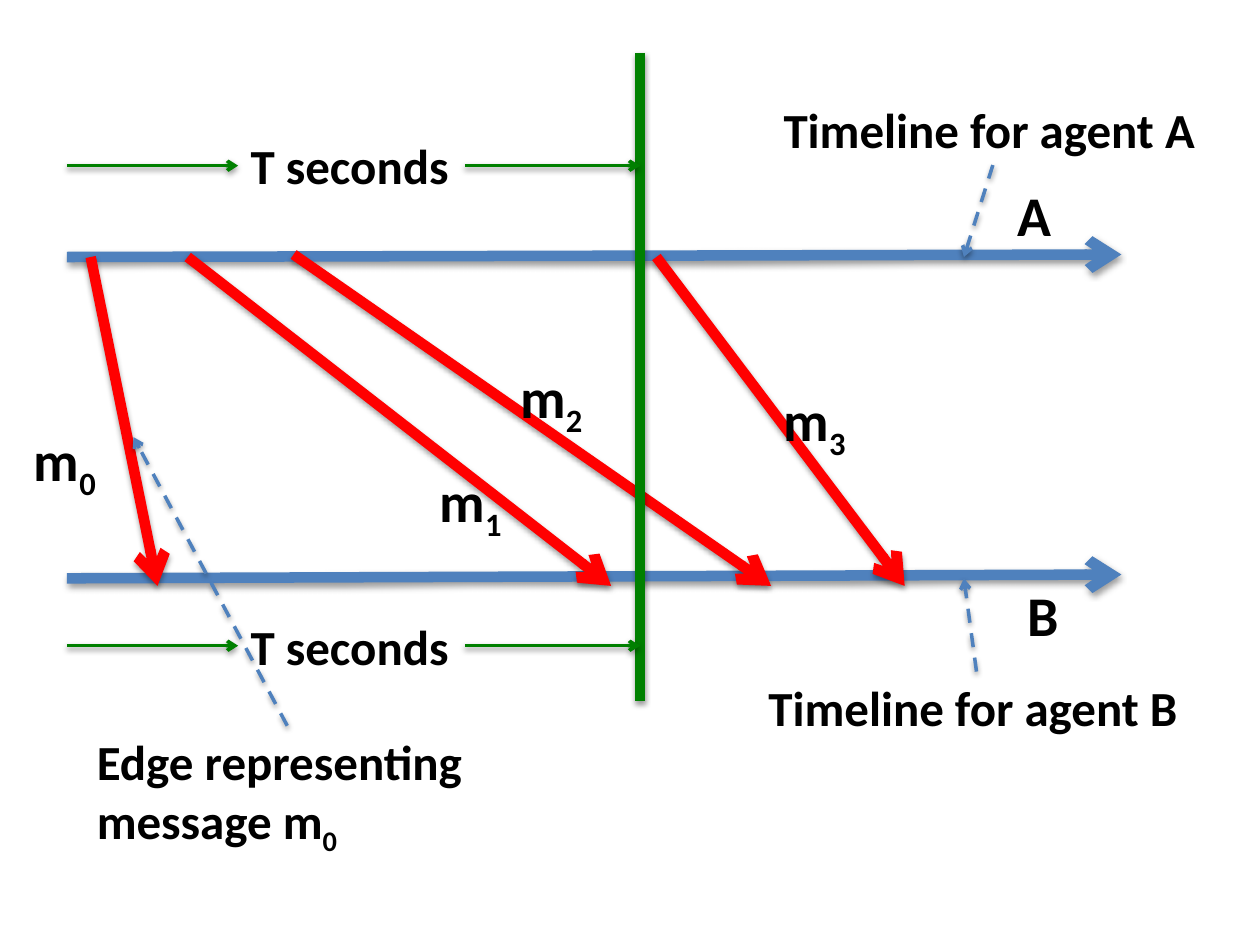
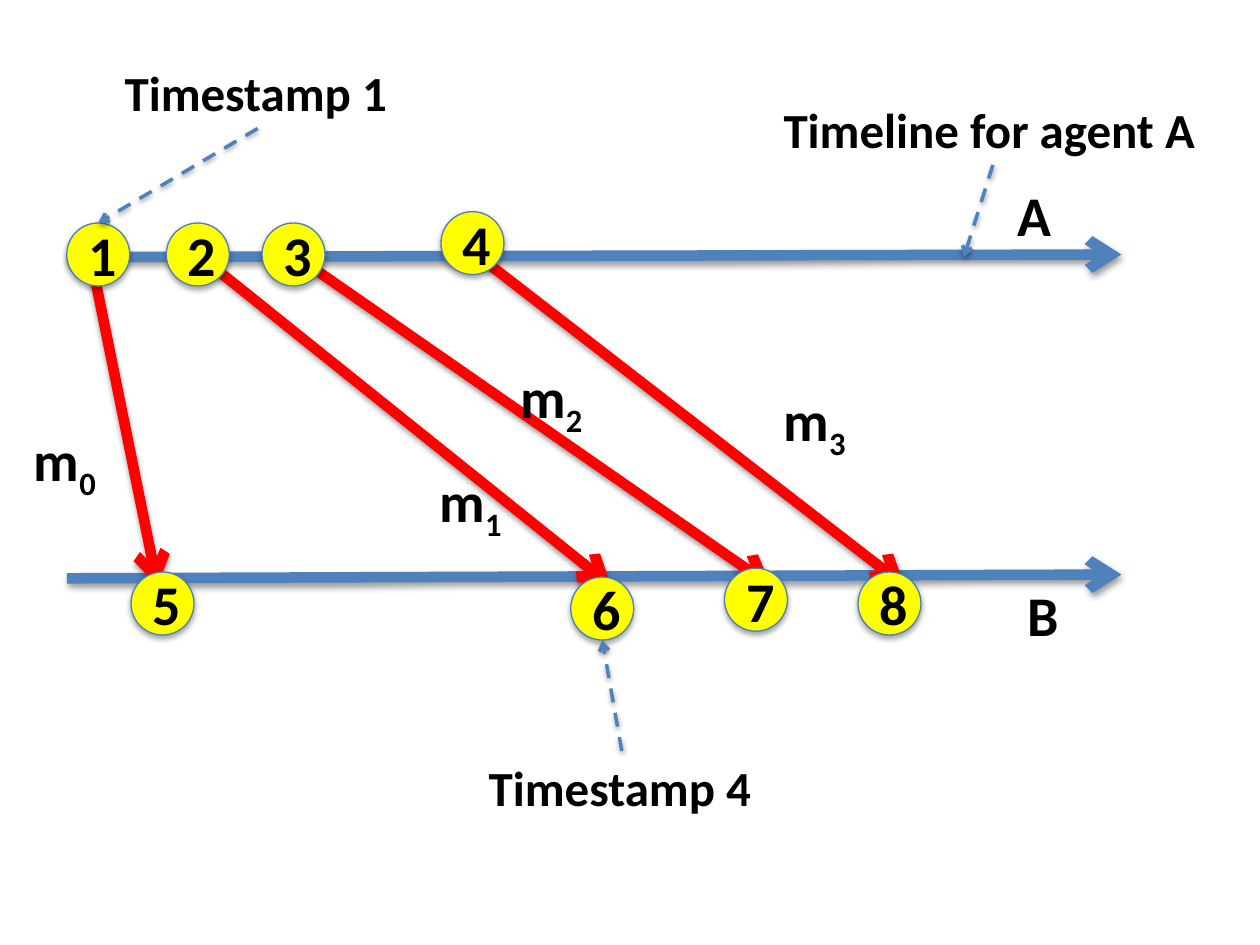
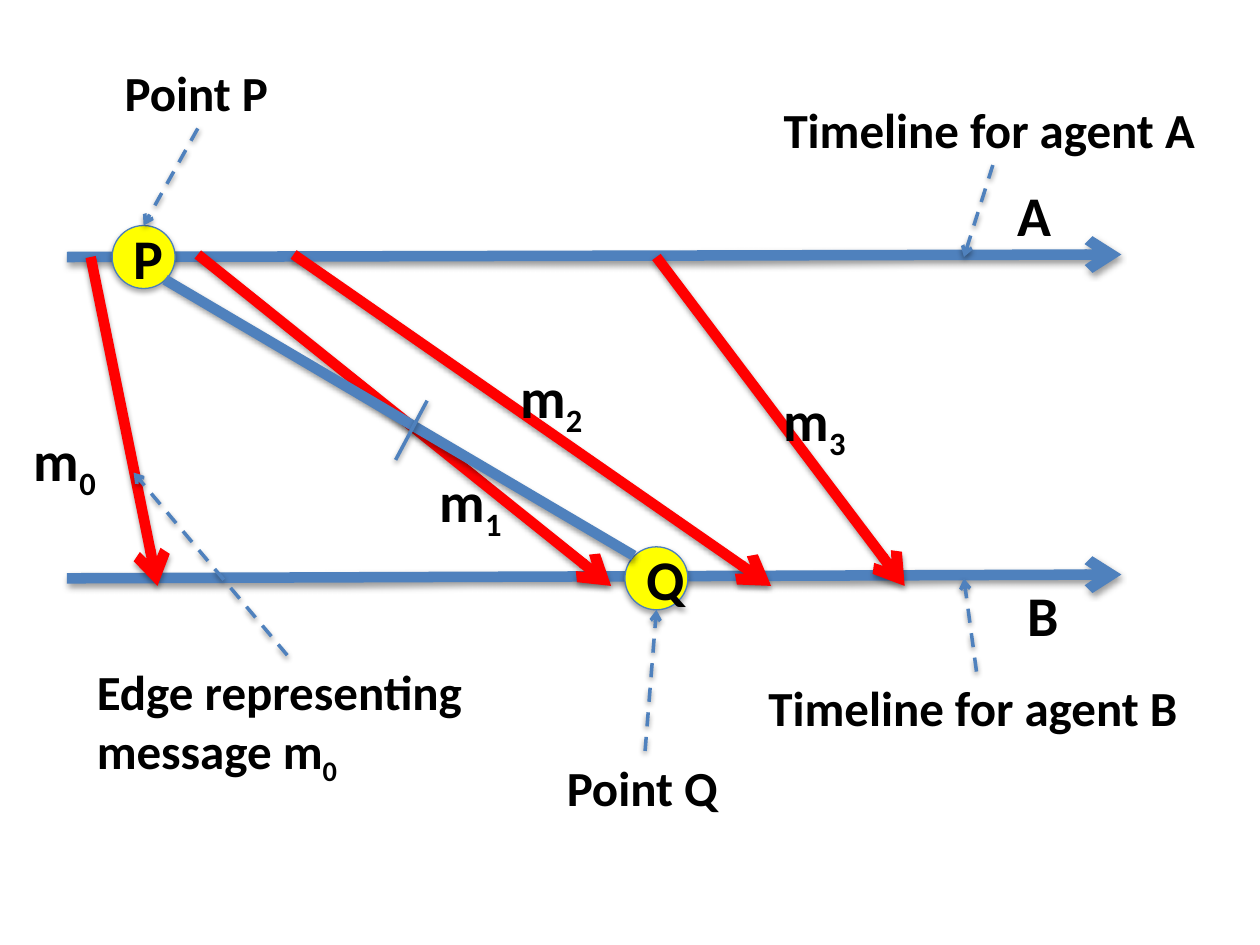
import pptx
import pptx.dml.color
import pptx.enum.dml
import pptx.enum.shapes
import pptx.enum.text
import pptx.oxml.ns
import pptx.util
from lxml import etree
from pptx.util import Inches

BLUE, RED, GREEN = "4F81BD", "FF0000", "008000"
YELLOW, OUTLINE, BLACK = "FFFF00", "4B7EBC", "000000"
FONT = "Calibri"
LABEL_SIZE, CALLOUT_SIZE = 32, 28
THICK, THIN = 6, 2
TOP, LEFT, BOTTOM, RIGHT = range(4)

TIMELINE_START, TIMELINE_END = 0.53, 8.9
MESSAGE_ENDS = [1.25, 4.85, 6.12, 7.18]
MESSAGE_END_Y = 4.65
MESSAGE_LABELS = [(0.17, 3.33), (3.39, 3.65), (4.03, 2.83), (6.12, 3.01)]
NODE_SIZE = 0.5


def rgb(value):
    return pptx.dml.color.RGBColor.from_string(value)


def add_element(parent, tag, **attributes):
    return etree.SubElement(parent, pptx.oxml.ns.qn(tag), **attributes)


def add_shadow(effects, distance, opacity):
    """Fill an effect list with a soft shadow that falls straight down."""
    shadow = add_element(effects, "a:outerShdw", blurRad="40000", dist=str(distance),
                         dir="5400000", rotWithShape="0")
    color = add_element(shadow, "a:srgbClr", val=BLACK)
    add_element(color, "a:alpha", val=str(opacity * 1000))


class Diagram:
    """Holds the deck, the current page and the drawing style."""

    def __init__(self):
        self.deck = pptx.Presentation()
        self.deck.slide_width, self.deck.slide_height = Inches(10), Inches(7.5)

    def new_page(self):
        page = self.deck.slides.add_slide(self.deck.slide_layouts[6])
        self.shapes = page.shapes

    def add_spans(self, para, text, size, subscript=""):
        for part in filter(None, (text, subscript)):
            span = para.add_run()
            span.text = part
            span.font.name = FONT
            span.font.size = pptx.util.Pt(size)
            span.font.bold = True
            span.font.color.rgb = rgb(BLACK)
        if subscript:
            span.font._element.set("baseline", "-25000")

    def text(self, at, text, size=CALLOUT_SIZE, subscript="", wrap=False, shapes=None):
        box = (shapes or self.shapes).add_textbox(*map(Inches, at))
        frame = box.text_frame
        frame.word_wrap = wrap
        frame.auto_size = pptx.enum.text.MSO_AUTO_SIZE.SHAPE_TO_FIT_TEXT
        self.add_spans(frame.paragraphs[0], text, size, subscript)
        return box

    def line(self, start, end, color=BLUE, width=THICK, arrow=True, dashed=False, shapes=None):
        """Draw a line; each end is a point or a (shape, side) joint."""
        points = [(0, 0) if self.is_joint(stop) else stop for stop in (start, end)]
        line = (shapes or self.shapes).add_connector(
            pptx.enum.shapes.MSO_CONNECTOR.STRAIGHT,
            *[Inches(value) for point in points for value in point])
        if self.is_joint(start):
            line.begin_connect(*start)
        if self.is_joint(end):
            line.end_connect(*end)
        line.line.color.rgb = rgb(color)
        line.line.width = pptx.util.Pt(width)
        if dashed:
            line.line.dash_style = pptx.enum.dml.MSO_LINE.DASH
        if arrow:
            add_element(line.get_or_add_ln(), "a:tailEnd", type="arrow")
        add_shadow(add_element(line.element.spPr, "a:effectLst"), 20000, 38)

    @staticmethod
    def is_joint(stop):
        return not isinstance(stop[0], (int, float))

    def node(self, left, top, text):
        node = self.shapes.add_shape(pptx.enum.shapes.MSO_SHAPE.OVAL,
                                     *map(Inches, (left, top, NODE_SIZE, NODE_SIZE)))
        node.fill.solid()
        node.fill.fore_color.rgb = rgb(YELLOW)
        node.line.color.rgb = rgb(OUTLINE)
        node.line.width = pptx.util.Pt(0.75)
        node.shadow.inherit = False
        add_shadow(node.element.spPr.find(pptx.oxml.ns.qn("a:effectLst")), 23000, 35)
        frame = node.text_frame
        frame.vertical_anchor = pptx.enum.text.MSO_ANCHOR.MIDDLE
        para = frame.paragraphs[0]
        para.alignment = pptx.enum.text.PP_ALIGN.CENTER
        self.add_spans(para, text, LABEL_SIZE)
        return node

    def callout(self, at, text, side, target, **options):
        """Put a caption with a dashed arrow from its side to the target."""
        box = self.text(at, text, **options)
        self.line((box, side), target, width=THIN, dashed=True)

    def timelines(self, message_starts):
        """Start a page with both agents' timelines and the four messages."""
        self.new_page()
        for start_y, end_y in ((2.04, 2.02), (4.59, 4.56)):
            self.line((TIMELINE_START, start_y), (TIMELINE_END, end_y))
        for start, end_x in zip(message_starts, MESSAGE_ENDS):
            self.line(start, (end_x, MESSAGE_END_Y), RED)
        self.text((7.98, 1.38, 0.47, 0.64), "A", LABEL_SIZE)
        self.text((8.06, 4.56, 0.45, 0.64), "B", LABEL_SIZE)
        for number, (left, top) in enumerate(MESSAGE_LABELS):
            self.text((left, top, 0.72, 0.64), "m", LABEL_SIZE, str(number))
        self.callout((6.12, 0.74, 3.52, 0.57), "Timeline for agent A", BOTTOM, (7.65, 2.04))

    def agent_b_and_edge(self, edge_top, edge_target):
        self.callout((6, 5.33, 3.5, 0.57), "Timeline for agent B", TOP, (7.65, 4.59))
        self.callout((0.67, edge_top, 3.22, 1.04), "Edge representing message m", TOP,
                     edge_target, subscript="0", wrap=True)

    def duration(self, top, cut_x):
        """Mark the span from the timeline start to the cut."""
        shapes = self.shapes.add_group_shape().shapes
        box = self.text((1.89, top, 1.8, 0.57), "T seconds", shapes=shapes)
        middle = top + 0.285
        for start, end in (((box, RIGHT), (cut_x, middle)),
                           ((TIMELINE_START, middle), (box, LEFT))):
            self.line(start, end, GREEN, THIN, shapes=shapes)


def draw_cut(diagram):
    diagram.timelines([(0.72, 2.04), (1.49, 2.04), (2.33, 2.02), (5.21, 2.04)])
    diagram.agent_b_and_edge(5.76, (1.06, 3.47))
    cut_x = 5.08
    diagram.line((cut_x, 0.42), (cut_x, 5.56), GREEN, arrow=False)
    for top in (1.03, 4.84):
        diagram.duration(top, cut_x)


def draw_timestamps(diagram):
    diagram.timelines([(0.72, 2.04), (1.57, 2.02), (2.33, 2.02), (3.78, 2.02)])
    places = [(0.53, 1.77), (1.32, 1.77), (2.08, 1.77), (3.5, 1.68),
              (1.04, 4.54), (4.53, 4.58), (5.75, 4.51), (6.81, 4.54)]
    nodes = [diagram.node(left, top, str(stamp))
             for stamp, (left, top) in enumerate(places, 1)]
    diagram.callout((0.89, 0.45, 2.31, 0.57), "Timestamp 1", BOTTOM, (nodes[0], TOP))
    diagram.callout((3.78, 5.96, 2.31, 0.57), "Timestamp 4", TOP, (4.78, 5.08))


def draw_points(diagram):
    diagram.timelines([(0.72, 2.04), (1.57, 2.02), (2.33, 2.02), (5.21, 2.04)])
    diagram.agent_b_and_edge(5.2, (1.06, 3.75))
    point_p = diagram.node(0.89, 1.79, "P")
    diagram.node(4.96, 4.34, "Q")
    diagram.callout((0.89, 0.45, 1.36, 0.57), "Point P", BOTTOM, (point_p, TOP))
    diagram.callout((4.4, 5.96, 1.44, 0.57), "Point Q", TOP, (5.21, 4.84))
    diagram.line((1.31, 2.22), (5.03, 4.41), arrow=False)
    diagram.line((3.14, 3.65), (3.39, 3.18), width=THIN, arrow=False)


def main():
    diagram = Diagram()
    for draw in (draw_cut, draw_timestamps, draw_points):
        draw(diagram)
    diagram.deck.save("out.pptx")


if __name__ == "__main__":
    main()
